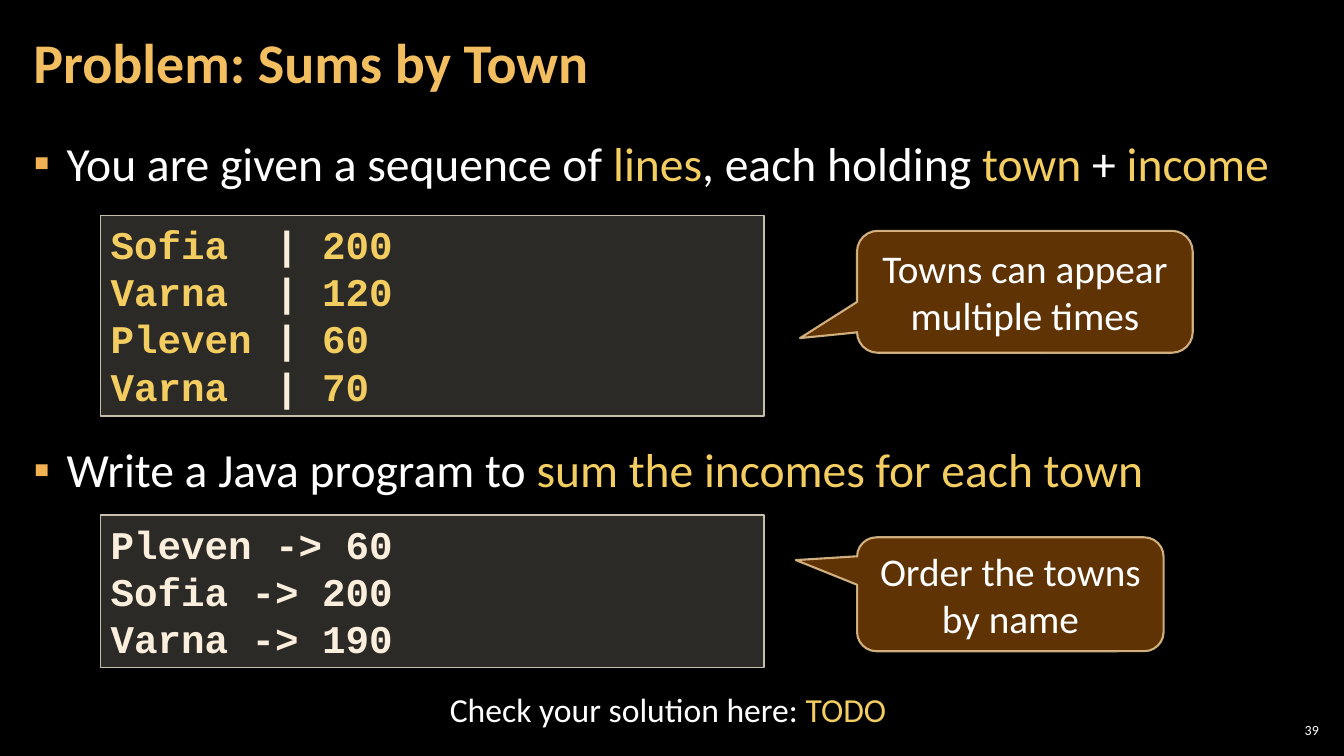
"""Build the slide on summing incomes by town."""
from dataclasses import dataclass

from lxml.etree import SubElement as Sub
from pptx import Presentation
from pptx.dml.color import RGBColor as Rgb
from pptx.enum.shapes import MSO_SHAPE as Kind
from pptx.enum.text import MSO_ANCHOR as Anchor, MSO_AUTO_SIZE as Fit, PP_ALIGN as Align
from pptx.oxml.ns import qn
from pptx.util import Inches, Pt

TITLE = "Problem: Sums by Town"
POINTS = [
    "You are given a sequence of *lines*, each holding *town* + *income*",
    "Write a Java program to *sum the incomes for each town*",
]
CODE = [
    (28.53, ["*Sofia*  | *200*", "*Varna*  | *120*", "*Pleven *| *60*", "*Varna*  | *70*"]),
    (68.13, ["Pleven -> 60", "Sofia -> 200", "Varna -> 190"]),
]
NOTES = [
    ("Towns can appear multiple times", (63.77, 30.53, 24.98, 16.13), (-0.67, 0.38, 0.17)),
    ("Order the towns by name", (63.77, 71.07, 22.81, 15.07), (-0.7, -0.3, 0.17)),
]
CHECK = "Check your solution here: *TODO*"
NUMBER = "39"


@dataclass(frozen=True)
class Theme:
    back: str = "000000"
    text: str = "FFFFFF"
    mark: str = "F3CD60"
    title: str = "F3BE60"
    bullet: str = "F2B254"
    code: str = "FBEEDC"
    pane: str = "D9D5C7"
    edge: str = "C7BFAC"
    note: str = "663606"
    rim: str = "F8D49E"
    sans: str = "Calibri"
    mono: str = "Courier New"
    head: int = 40
    body: int = 34
    mid: int = 28
    small: int = 24
    tiny: int = 10


T = Theme()
WIDE, HIGH = 13.33, 7.5
PAD = (0.12, 0.04)


def share(x, y, w, h):
    """Turn percentages of the slide into lengths."""
    return [Inches(part * full / 100) for part, full in zip((x, y, w, h), (WIDE, HIGH) * 2)]


def place(shape, area):
    """Move a placeholder to an area."""
    shape.left, shape.top, shape.width, shape.height = share(*area)


def write(shape, lines, size, color=T.text, font=T.sans, bold=False,
          align=Align.LEFT, anchor=Anchor.TOP, pad=(0.1, 0.05)):
    """Fill a shape with lines whose starred parts are highlighted."""
    frame = shape.text_frame
    frame.word_wrap, frame.auto_size = True, Fit.NONE
    frame.vertical_anchor = anchor
    frame.margin_left = frame.margin_right = Inches(pad[0])
    frame.margin_top = frame.margin_bottom = Inches(pad[1])
    frame.text = "\n".join(line.replace("*", "") for line in lines)
    for para, line in zip(frame.paragraphs, lines):
        para.text = ""
        para.alignment = align
        for spot, part in enumerate(line.split("*")):
            if part:
                run = para.add_run()
                run.text = part
                run.font.name, run.font.size, run.font.bold = font, Pt(size), bold
                run.font.color.rgb = Rgb.from_string(T.mark if spot % 2 else color)
    return frame.paragraphs


def fade(paint, color, alpha):
    """Give a fill a colour and an opacity in percent."""
    paint.solid()
    paint.fore_color.rgb = Rgb.from_string(color)
    node = paint._xPr.find(qn("a:solidFill"))[0]
    Sub(node, qn("a:alpha"), val=str(alpha * 1000))


def panel(slide, kind, area, fill, line):
    """Add a shape with a see-through fill and an outline."""
    shape = slide.shapes.add_shape(kind, *share(*area))
    shape.shadow.inherit = False
    fade(shape.fill, *fill)
    color, width, alpha = line
    shape.line.width = Pt(width)
    fade(shape.line.fill, color, alpha)
    return shape


def bullet(para, gap):
    """Set a square bullet and the spacing of a point."""
    props = para._p.get_or_add_pPr()
    props.set("marL", str(Inches(0.33)))
    props.set("indent", str(-Inches(0.33)))
    para.line_spacing = 1.05
    para.space_before, para.space_after = Pt(gap), Pt(6)
    Sub(Sub(props, qn("a:buClr")), qn("a:srgbClr"), val=T.bullet)
    Sub(props, qn("a:buFont"), typeface="Arial")
    Sub(props, qn("a:buChar"), char="▪")


def main():
    """Lay out the slide and save it."""
    deck = Presentation()
    deck.slide_width, deck.slide_height = Inches(WIDE), Inches(HIGH)
    slide = deck.slides.add_slide(deck.slide_layouts[1])
    slide.background.fill.solid()
    slide.background.fill.fore_color.rgb = Rgb.from_string(T.back)

    title, body = slide.placeholders
    place(title, (1.58, 0.53, 78.54, 16.13))
    head = write(title, [TITLE], T.head, T.title, bold=True, anchor=Anchor.MIDDLE, pad=PAD)
    head[0].line_spacing = 0.9
    place(body, (1.58, 16.8, 96.85, 81.2))
    for para, gap in zip(write(body, POINTS, T.body, pad=PAD), (0, 170)):
        bullet(para, gap)

    for top, lines in CODE:
        area = (7.5, top, 49.36, 0.93 + 6.4 * len(lines))
        pane = panel(slide, Kind.RECTANGLE, area, (T.pane, 20), (T.edge, 1, 100))
        write(pane, lines, T.mid, T.code, T.mono, True)

    for text, area, tail in NOTES:
        note = panel(slide, Kind.ROUNDED_RECTANGULAR_CALLOUT, area, (T.note, 95), (T.rim, 1.5, 80))
        for spot, value in enumerate(tail):
            note.adjustments[spot] = value
        write(note, [text], T.mid, align=Align.CENTER, anchor=Anchor.MIDDLE)

    check = slide.shapes.add_textbox(*share(6.38, 90.53, 86.65, 6.67))
    write(check, [CHECK], T.small, align=Align.CENTER)
    number = slide.shapes.add_textbox(*share(94.9, 95.2, 3.53, 2.8))
    write(number, [NUMBER], T.tiny, align=Align.RIGHT, anchor=Anchor.MIDDLE, pad=(0.04, 0.04))
    deck.save("out.pptx")


if __name__ == "__main__":
    main()
